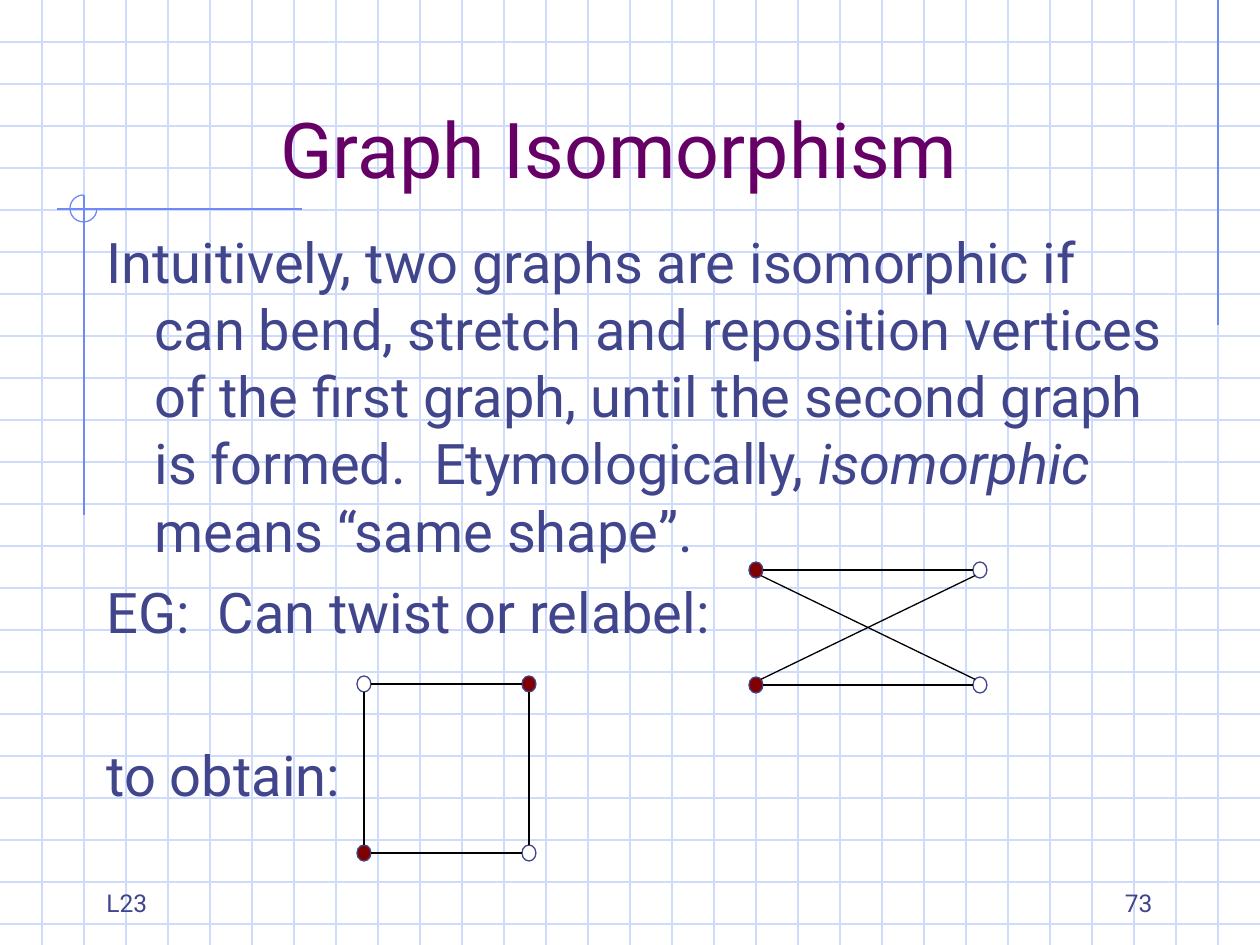
from lxml.etree import SubElement
from pptx import Presentation
from pptx.dml.color import RGBColor
from pptx.enum.shapes import MSO_CONNECTOR, MSO_SHAPE
from pptx.enum.text import MSO_ANCHOR as ANCHOR, PP_ALIGN as ALIGN
from pptx.oxml.ns import qn
from pptx.util import Emu, Pt

PX = 914400 // 126
W, H = 1260, 945
FONT = "Roboto"
INK, PURPLE, BLACK, MAROON = "40458C", "660066", "000000", "800000"
GRID, ACCENT = "CFDBFD", "6F89F7"
GRID_STEP = 42

# Each paragraph: space before in points, runs of (text, italic)
BODY = [
    (0, [("Intuitively, two graphs are isomorphic if can bend, stretch and "
          "reposition vertices of the first graph, until the second graph "
          "is formed.  Etymologically, ", False),
         ("isomorphic", True),
         (" means “same shape”.", False)]),
    (8, [("EG:  Can twist or relabel:", False)]),
    (55, [("to obtain:", False)]),
]
ACCENT_LINES = [(1218, 0, 1218, 325), (302, 209, 57, 209), (84, 195, 84, 515)]
NODE_W, NODE_H = 14, 16

# Nodes: centre x, centre y, fill. Edges: pairs of node names.
SQUARE = (
    {"a": (364, 684, None), "b": (529, 684, MAROON),
     "c": (364, 853, MAROON), "d": (529, 853, None)},
    ["ab", "ac", "cd", "bd"],
)
BOW_TIE = (
    {"a": (756, 570, MAROON), "b": (980, 570, None),
     "c": (756, 685, MAROON), "d": (980, 685, None)},
    ["bc", "ba", "ad", "cd"],
)


def px(n):
    return Emu(round(n * PX))


def rgb(value):
    return RGBColor.from_string(value)


def add_line(x1, y1, x2, y2, color):
    cn = slide.shapes.add_connector(MSO_CONNECTOR.STRAIGHT,
                                    px(x1), px(y1), px(x2), px(y2))
    cn.line.color.rgb = rgb(color)
    cn.line.width = Pt(0.75)
    SubElement(cn._element.spPr, qn("a:effectLst"))


def add_outline(kind, x, y, w, h, color, fill=None):
    sp = slide.shapes.add_shape(kind, px(x), px(y), px(w), px(h))
    sp.shadow.inherit = False
    sp.line.color.rgb = rgb(color)
    sp.line.width = Pt(0.75)
    if fill:
        sp.fill.solid()
        sp.fill.fore_color.rgb = rgb(fill)
    else:
        sp.fill.background()
    return sp


def add_text(paragraphs, x, y, w, h, size, color=INK, align=ALIGN.LEFT,
             anchor=ANCHOR.BOTTOM, hanging=0):
    tf = slide.shapes.add_textbox(px(x), px(y), px(w), px(h)).text_frame
    tf.word_wrap = True
    tf.vertical_anchor = anchor
    for i, (before, runs) in enumerate(paragraphs):
        p = tf.add_paragraph() if i else tf.paragraphs[0]
        p.alignment = align
        if before:
            p.space_before = Pt(before)
        if hanging:
            pPr = p._p.get_or_add_pPr()
            pPr.set("marL", str(px(hanging)))
            pPr.set("indent", str(px(-hanging)))
        for text, italic in runs:
            r = p.add_run()
            r.text = text
            r.font.name = FONT
            r.font.size = Pt(size)
            r.font.italic = italic
            r.font.color.rgb = rgb(color)


def add_label(text, *box, **style):
    add_text([(0, [(text, False)])], *box, **style)


def add_graph(nodes, edges):
    """Draw the nodes, then edges that run from rim to rim."""
    for x, y, fill in nodes.values():
        add_outline(MSO_SHAPE.OVAL, x - NODE_W / 2, y - NODE_H / 2,
                    NODE_W, NODE_H, INK, fill)
    for start, end in edges:
        (x1, y1, _), (x2, y2, _) = nodes[start], nodes[end]
        sx, sy = (x2 > x1) - (x2 < x1), (y2 > y1) - (y2 < y1)
        reach = 0.7 if sx and sy else 1  # diagonals leave the rim at 45 degrees
        dx, dy = sx * reach * NODE_W / 2, sy * reach * NODE_H / 2
        add_line(x1 + dx, y1 + dy, x2 - dx, y2 - dy, BLACK)


prs = Presentation()
prs.slide_width, prs.slide_height = px(W), px(H)
slide = prs.slides.add_slide(prs.slide_layouts[6])

for y in range(GRID_STEP, H, GRID_STEP):
    add_line(0, y, W, y, GRID)
for x in range(GRID_STEP, W, GRID_STEP):
    add_line(x, 0, x, H, GRID)
for ends in ACCENT_LINES:
    add_line(*ends, ACCENT)
arc = add_outline(MSO_SHAPE.ARC, 70, 195, 27, 27, ACCENT)
arc.adjustments[0], arc.adjustments[1] = 0, 162  # clockwise from 0 to 270 degrees

add_label("Graph Isomorphism", 84, 42, 1071, 158, size=44, color=PURPLE,
          align=ALIGN.CENTER)
add_text(BODY, 94, 221, 1082, 693, size=32, anchor=ANCHOR.TOP, hanging=48)
add_graph(*SQUARE)
add_graph(*BOW_TIE)
add_label("73", 903, 861, 262, 63, size=14, align=ALIGN.RIGHT)
add_label("L23", 94, 861, 262, 63, size=14)

prs.save("out.pptx")
